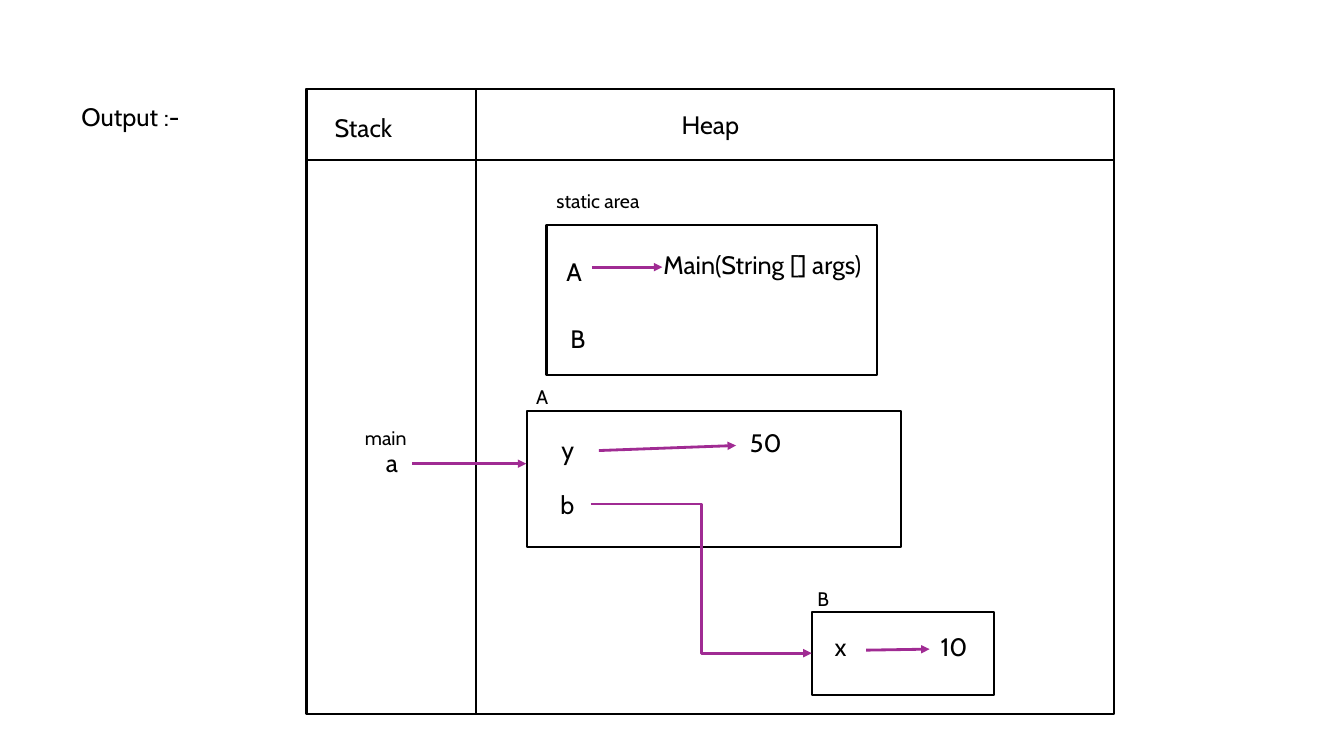
from pptx import Presentation
from pptx.dml.color import RGBColor
from pptx.enum.shapes import MSO_CONNECTOR, MSO_SHAPE
from pptx.enum.text import MSO_ANCHOR, MSO_AUTO_SIZE, PP_ALIGN
from pptx.oxml.ns import qn
from pptx.util import Pt
from lxml import etree

RECT = MSO_SHAPE.RECTANGLE
STRAIGHT, ELBOW = MSO_CONNECTOR.STRAIGHT, MSO_CONNECTOR.ELBOW
CENTER, MIDDLE = PP_ALIGN.CENTER, MSO_ANCHOR.MIDDLE
GROW = MSO_AUTO_SIZE.SHAPE_TO_FIT_TEXT

PX = 9144  # 100 px to the inch
FONT = "Cabin"
BLACK, WHITE, PURPLE = "000000", "FFFFFF", "A02B93"
BODY, SMALL = 18, 14


def px(n):
    return n * PX


def color(value):
    return RGBColor.from_string(value)


def write(tf, text, size=BODY, align=None):
    p = tf.paragraphs[0]
    p.alignment = align
    r = p.add_run()
    r.text = text
    r.font.name = FONT
    r.font.size = Pt(size)
    r.font.color.rgb = color(BLACK)


def add_text(s, text, x, y, w, h=40, size=BODY, wrap=True):
    tf = s.shapes.add_textbox(px(x), px(y), px(w), px(h)).text_frame
    tf.word_wrap = wrap
    tf.auto_size = GROW
    write(tf, text, size)


def add_label(s, text, x, y, w):
    add_text(s, text, x, y, w, h=34, size=SMALL)


def add_box(s, x, y, w, h):
    sp = s.shapes.add_shape(RECT, px(x), px(y), px(w), px(h))
    sp.shadow.inherit = False
    sp.fill.solid()
    sp.fill.fore_color.rgb = color(WHITE)
    sp.line.color.rgb = color(BLACK)
    sp.line.width = Pt(1.5)
    return sp


def add_line(s, x1, y1, x2, y2, line=BLACK, width=1.5, kind=STRAIGHT):
    cn = s.shapes.add_connector(kind, px(x1), px(y1), px(x2), px(y2))
    cn.line.color.rgb = color(line)
    cn.line.width = Pt(width)
    etree.SubElement(cn._element.spPr, qn("a:effectLst"))
    return cn


def add_arrow(s, x1, y1, x2, y2, kind=STRAIGHT):
    cn = add_line(s, x1, y1, x2, y2, PURPLE, 2, kind)
    etree.SubElement(cn.line._get_or_add_ln(), qn("a:tailEnd"), type="triangle")


def memory_table(s, x, y, w, h):
    """Outer frame with the Stack and Heap columns."""
    header_h, stack_w = 71, 168
    add_box(s, x, y, w, h)
    tf = add_box(s, x, y, w, header_h).text_frame
    tf.vertical_anchor = MIDDLE
    write(tf, "Heap", align=CENTER)
    add_line(s, x + stack_w, y, x + stack_w, y + h)
    add_text(s, "Stack", x + 18, y + 19, 82, wrap=False)


def static_area(s, x, y, w, h):
    add_label(s, "static area", x, y - 40, 151)
    add_box(s, x, y, w, h)
    add_text(s, "A", x + 10, y + 26, 35)
    add_text(s, "Main(String [] args)", x + 106, y + 19, 222)
    add_arrow(s, x + 45, y + 42, x + 115, y + 42)
    add_text(s, "B", x + 14, y + 93, 83)


def object_a(s, x, y, w, h):
    add_label(s, "A", x - 1, y - 31, 83)
    add_box(s, x, y, w, h)
    add_text(s, "y", x + 24, y + 18, 47)
    add_arrow(s, x + 71, y + 39, x + 207, y + 34)
    add_text(s, "50", x + 211, y + 11, 60)
    add_text(s, "b", x + 23, y + 73, 47)


def object_b(s, x, y, w, h):
    add_label(s, "B", x - 4, y - 30, 83)
    add_box(s, x, y, w, h)
    add_text(s, "x", x + 13, y + 14, 47)
    add_arrow(s, x + 54, y + 38, x + 117, y + 37)
    add_text(s, "10", x + 118, y + 14, 59)


def stack_frame(s, x, y):
    add_label(s, "main", x, y, 66)
    add_text(s, "a", x + 21, y + 21, 60)


def references(s):
    """Arrows that lead from one region to another."""
    add_arrow(s, 409, 460, 522, 460)
    add_arrow(s, 586, 500, 805, 648, ELBOW)


def main():
    prs = Presentation()
    prs.slide_width, prs.slide_height = px(1333), px(750)
    s = prs.slides.add_slide(prs.slide_layouts[6])
    add_text(s, "Output :-", 71, 96, 199, 71)
    memory_table(s, 304, 88, 801, 620)
    static_area(s, 542, 223, 328, 149)
    object_a(s, 523, 408, 371, 135)
    object_b(s, 805, 607, 181, 83)
    stack_frame(s, 352, 418)
    references(s)
    prs.save("out.pptx")


if __name__ == "__main__":
    main()
